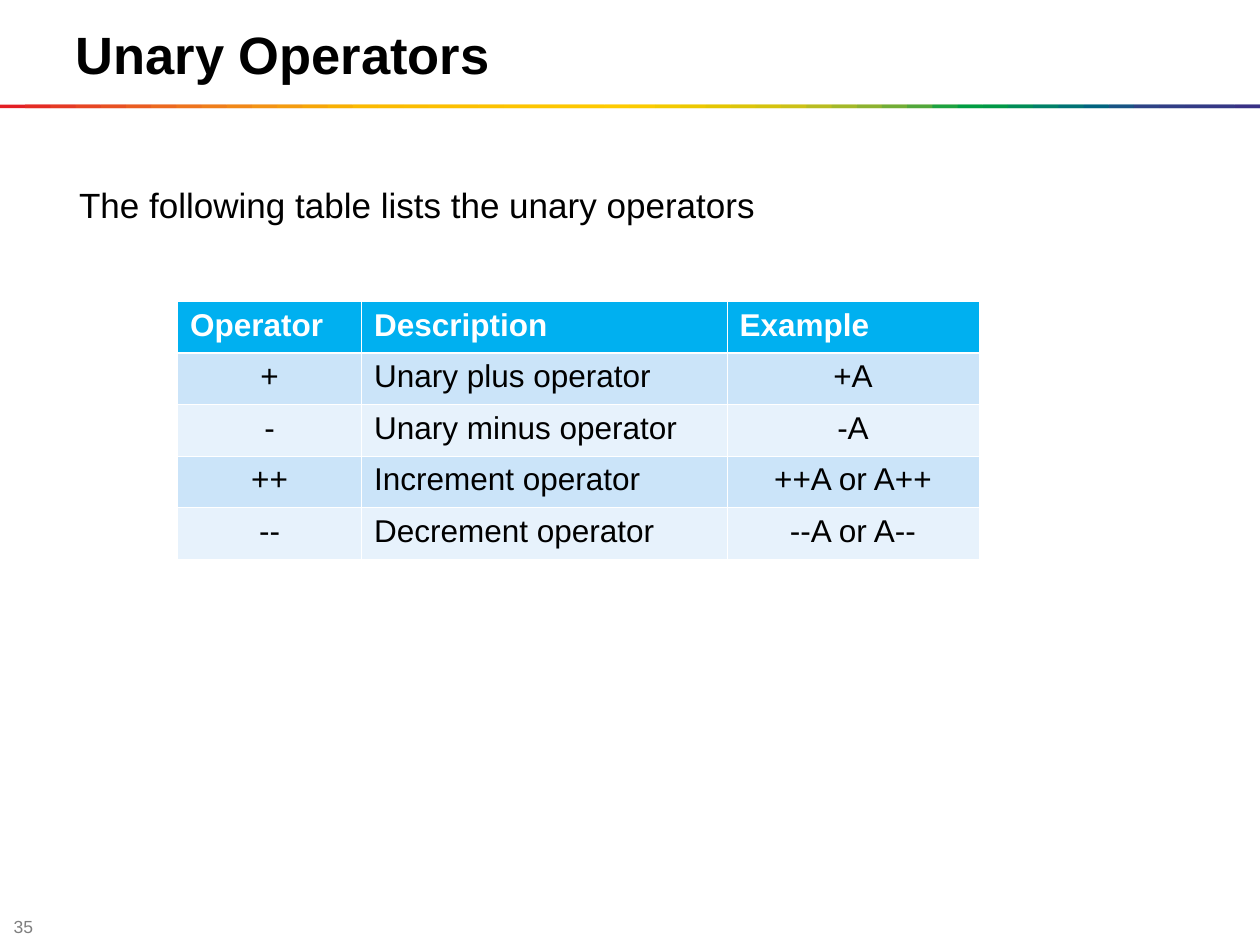
from dataclasses import dataclass

import pptx
import pptx.dml.color
import pptx.enum.shapes
import pptx.enum.text
import pptx.oxml
import pptx.oxml.ns
import pptx.util

Inches, Pt = pptx.util.Inches, pptx.util.Pt
PP_ALIGN, ANCHOR = pptx.enum.text.PP_ALIGN, pptx.enum.text.MSO_ANCHOR

TITLE = "Unary Operators"
INTRO = "The following table lists the unary operators"
PAGE = "35"
ROWS = [
    ("Operator", "Description", "Example"),
    ("+", "Unary plus operator", "+A"),
    ("-", "Unary minus operator", "-A"),
    ("++", "Increment operator", "++A or A++"),
    ("--", "Decrement operator", "--A or A--"),
]
COL_WIDTHS = (1.46, 2.9, 2)
CENTERED_COLS = (0, 2)
RAINBOW = """
    E31E24 E42C24 E53A24 E74623 E85122 EA5D21 EC691F EE741D EF7E1A F18817
    F39314 F49C0F F6A607 F8B002 FBBA00 FBBB00 FBBD00 FCBF00 FCC000 FCC200
    FDC400 FDC600 FDC700 FEC900 FECB00 FBCB00 F3CA00 ECC800 E4C602 DCC50A
    D5C30E CCC117 B8BC21 A3B829 8CB230 71AD36 51A73B 1DA240 009D43 009846
    008C57 008068 007275 00637F 185384 2E4285 313E85 333B85 353885 393185
""".split()


@dataclass(frozen=True)
class Theme:
    font: str = "Arial"
    text: str = "000000"
    muted: str = "7F7F7F"
    white: str = "FFFFFF"
    header: str = "00B0F0"
    bands: tuple = ("CBE4F9", "E7F2FC")
    title_size: int = 30
    intro_size: int = 20
    table_size: int = 18
    page_size: int = 10
    thin: float = 0.45
    thick: float = 1.47


T = Theme()
SLIDE_W, SLIDE_H = 10, 7.5


def rgb(color):
    return pptx.dml.color.RGBColor.from_string(color)


def write(tf, text, size, color=T.text, bold=False, align=PP_ALIGN.LEFT):
    tf.text = text
    p = tf.paragraphs[0]
    p.alignment = align
    p.font.name, p.font.size, p.font.bold = T.font, Pt(size), bold
    p.font.color.rgb = rgb(color)


def place(shape, left, top, width, height):
    shape.left, shape.top = Inches(left), Inches(top)
    shape.width, shape.height = Inches(width), Inches(height)


def add_text(s, box, text, size, color=T.text, anchor=ANCHOR.TOP):
    tf = s.shapes.add_textbox(*map(Inches, box)).text_frame
    tf.word_wrap = True
    tf.vertical_anchor = anchor
    write(tf, text, size, color)


def add_rainbow(s, top, height):
    """Overlapping strips, each two steps wide and half covered by the next."""
    group = s.shapes.add_group_shape()
    step = SLIDE_W / len(RAINBOW)
    for i, color in enumerate(RAINBOW):
        left = i * step
        strip = group.shapes.add_shape(
            pptx.enum.shapes.MSO_SHAPE.RECTANGLE, Inches(left), Inches(top),
            Inches(min(2 * step, SLIDE_W - left)), Inches(height))
        strip.shadow.inherit = False
        strip.fill.solid()
        strip.fill.fore_color.rgb = rgb(color)
        strip.line.fill.background()


def set_borders(cell, top, bottom):
    tc_pr = cell._tc.get_or_add_tcPr()
    widths = {"lnL": T.thin, "lnR": T.thin, "lnT": top, "lnB": bottom}
    for i, (side, width) in enumerate(widths.items()):
        tc_pr.insert(i, pptx.oxml.parse_xml(
            f'<a:{side} {pptx.oxml.ns.nsdecls("a")} w="{Pt(width)}">'
            f'<a:solidFill><a:srgbClr val="{T.white}"/></a:solidFill></a:{side}>'))


def add_operator_table(s, left, top, row_height):
    frame = s.shapes.add_table(
        len(ROWS), len(COL_WIDTHS), Inches(left), Inches(top),
        Inches(sum(COL_WIDTHS)), Inches(row_height * len(ROWS)))
    table = frame.table
    for column, width in zip(table.columns, COL_WIDTHS):
        column.width = Inches(width)
    for r, row in enumerate(ROWS):
        head = r == 0
        for c, text in enumerate(row):
            cell = table.cell(r, c)
            cell.fill.solid()
            cell.fill.fore_color.rgb = rgb(T.header if head else T.bands[(r - 1) % 2])
            centered = not head and c in CENTERED_COLS
            write(cell.text_frame, text, T.table_size, T.white if head else T.text,
                  head, PP_ALIGN.CENTER if centered else PP_ALIGN.LEFT)
            set_borders(cell, T.thick if r == 1 else T.thin, T.thick if head else T.thin)


def main():
    prs = pptx.Presentation()
    prs.slide_width, prs.slide_height = Inches(SLIDE_W), Inches(SLIDE_H)
    s = prs.slides.add_slide(prs.slide_layouts.get_by_name("Title Only"))

    add_text(s, (0.01, 7.27, 0.39, 0.16), PAGE, T.page_size, T.muted, ANCHOR.MIDDLE)
    add_rainbow(s, 0.83, 0.03)

    title = s.shapes.title
    place(title, 0.5, 0.12, 9, 0.61)
    title.text_frame.vertical_anchor = ANCHOR.MIDDLE
    title.text_frame.auto_size = pptx.enum.text.MSO_AUTO_SIZE.NONE
    write(title.text_frame, TITLE, T.title_size, bold=True)

    add_operator_table(s, 1.41, 2.39, 0.41)
    add_text(s, (0.53, 1.41, 9, 0.44), INTRO, T.intro_size)
    prs.save("out.pptx")


if __name__ == "__main__":
    main()
